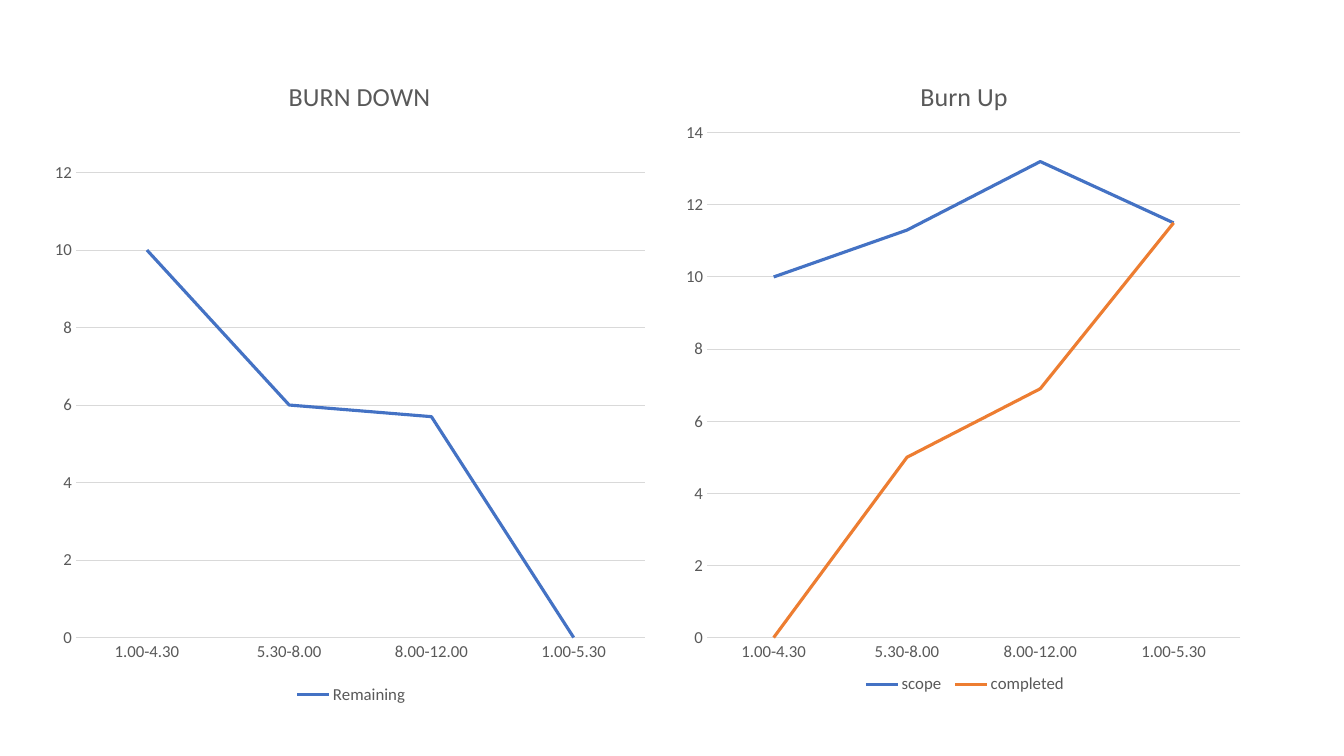
from dataclasses import dataclass

from lxml.etree import SubElement
from pptx import Presentation
from pptx.chart.data import CategoryChartData
from pptx.dml.color import RGBColor
from pptx.enum.chart import XL_CHART_TYPE, XL_LEGEND_POSITION, XL_TICK_MARK
from pptx.oxml import parse_xml
from pptx.oxml.ns import nsdecls, qn
from pptx.util import Cm, Pt


@dataclass(frozen=True)
class Theme:
    face: str = "Calibri"
    ink: str = "595959"
    rule: str = "D9D9D9"
    lines: tuple = ("4472C4", "ED7D31")
    title: float = 18.6
    label: float = 12
    thin: float = 0.75
    thick: float = 2.25


THEME = Theme()
TIMES = ("1.00-4.30", "5.30-8.00", "8.00-12.00", "1.00-5.30")


def style(font, size=THEME.label, color=THEME.ink, bold=False):
    font.name = THEME.face
    font.size = Pt(size)
    font.bold = bold
    font.color.rgb = RGBColor.from_string(color)


def write(frame, text, **fmt):
    frame.text = text
    style(frame.paragraphs[0].runs[0].font, **fmt)


def stroke(line, color, width):
    line.color.rgb = RGBColor.from_string(color)
    line.width = Pt(width)


def place(node, index, inner=False, **box):
    """Fix a chart part at fractions (x, y, w, h) of the chart's size."""
    old = node.find(qn("c:layout"))
    if old is not None:
        node.remove(old)
    layout = parse_xml(f"<c:layout {nsdecls('c')}/>")
    manual = SubElement(layout, qn("c:manualLayout"))
    parts = [("layoutTarget", "inner")] if inner else []
    parts += [("xMode", "edge"), ("yMode", "edge"), *box.items()]
    for name, value in parts:
        SubElement(manual, qn(f"c:{name}")).set("val", str(value))
    node.insert(index, layout)


def dress_axes(chart, top):
    for axis in (chart.category_axis, chart.value_axis):
        axis.major_tick_mark = axis.minor_tick_mark = XL_TICK_MARK.NONE
        style(axis.tick_labels.font)
    stroke(chart.category_axis.format.line, THEME.rule, THEME.thin)
    values = chart.value_axis
    values.minimum_scale, values.maximum_scale = 0, top
    values.major_unit = 2
    values.format.line.fill.background()
    values.has_major_gridlines = True
    stroke(values.major_gridlines.format.line, THEME.rule, THEME.thin)


def add_lines(slide, title, series, top, frame, head, plot, key):
    data = CategoryChartData()
    data.categories = TIMES
    for name, values in series.items():
        data.add_series(name, values)
    chart = slide.shapes.add_chart(
        XL_CHART_TYPE.LINE, *map(Cm, frame), data).chart
    style(chart.font)
    dress_axes(chart, top)

    chart.plots[0].vary_by_categories = False
    for line, color in zip(chart.plots[0].series, THEME.lines):
        line.smooth = False
        stroke(line.format.line, color, THEME.thick)

    chart.has_title = True
    write(chart.chart_title.text_frame, title, size=THEME.title)
    chart.has_legend = True
    legend = chart.legend
    legend.position = XL_LEGEND_POSITION.BOTTOM
    legend.include_in_layout = False
    style(legend.font)

    area = chart.plots[0]._element.getparent()
    place(area, 0, inner=True, **plot)
    place(chart.chart_title._element, 1, **head)
    place(legend._element, 1, **key)


def main():
    deck = Presentation()
    deck.slide_width, deck.slide_height = Cm(33.87), Cm(19.05)
    slide = deck.slides.add_slide(deck.slide_layouts[6])
    add_lines(
        slide, "Burn Up",
        {"scope": (10, 11.3, 13.2, 11.5), "completed": (0, 5, 6.9, 11.5)},
        top=14, frame=(16.94, 1.17, 14.61, 16.74),
        head=dict(x=0.42, y=0.04),
        plot=dict(x=0.06, y=0.13, w=0.92, h=0.76),
        key=dict(x=0.32, y=0.94, w=0.37, h=0.04))
    add_lines(
        slide, "BURN DOWN", {"Remaining": (10, 6, 5.7, 0)},
        top=12, frame=(1.14, 1.17, 15.42, 16.74),
        head=dict(x=0.39, y=0.04),
        plot=dict(x=0.05, y=0.19, w=0.93, h=0.7),
        key=dict(x=0.4, y=0.96, w=0.2, h=0.04))
    deck.save("out.pptx")


if __name__ == "__main__":
    main()
